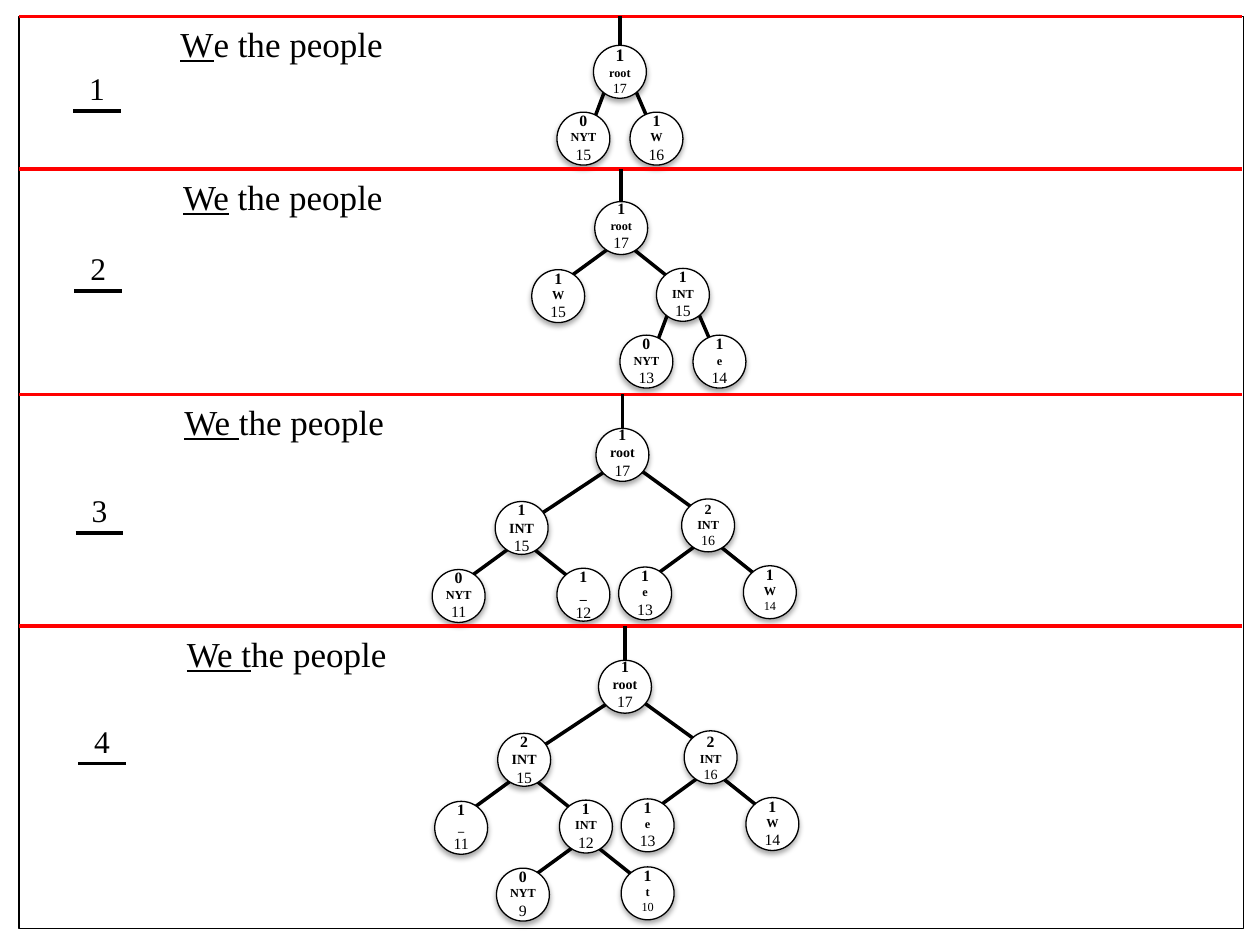
"""Builds a slide showing four steps of adaptive Huffman coding."""
from dataclasses import dataclass

from lxml import etree
from pptx import Presentation
from pptx import util as u
from pptx.dml.color import RGBColor
from pptx.enum import shapes, text
from pptx.oxml.ns import qn


@dataclass(frozen=True)
class Theme:
    """Colours, type and line weights of the slide."""
    font: str = "Times New Roman"
    ink: RGBColor = RGBColor(0, 0, 0)
    paper: RGBColor = RGBColor(255, 255, 255)
    rule: RGBColor = RGBColor(255, 0, 0)
    phrase_size: int = 20
    step_size: int = 18
    thin: float = 0.75
    thick: float = 2
    node: float = 0.42


THEME = Theme()


@dataclass(frozen=True)
class Branch:
    """Child offset from its parent, and edge ends measured from both centres."""
    child: tuple
    start: tuple
    end: tuple


STEEP = (Branch((-0.29, 0.53), (0, -0.17), (0.08, -0.14)),
         Branch((0.29, 0.53), (0, -0.14), (-0.07, -0.16)))
NORMAL = (Branch((-0.5, 0.54), (0, 0.09), (0.02, -0.1)),
          Branch((0.49, 0.53), (0, 0.09), (-0.09, -0.12)))
WIDE = (Branch((-0.8, 0.58), (-0.09, 0.1), (0, -0.01)),
        Branch((0.68, 0.56), (0.1, 0.09), (0, -0.05)))


@dataclass(frozen=True)
class Node:
    """A tree node: weight, symbol and number, with its two children."""
    weight: str
    symbol: str
    number: str
    sizes: tuple = (9, 7, 9)
    spread: tuple = ()
    children: tuple = ()
    lift: float = 0.06


@dataclass(frozen=True)
class Step:
    """One band of the slide."""
    left: float
    top: float
    step_drop: float
    label: str
    read: str
    rest: str
    tree: Node
    tree_drop: float = 0.26


def add_line(canvas, start, end, color=THEME.ink):
    """Draws a thick straight line without a shadow."""
    points = [u.Inches(value) for value in (*start, *end)]
    line = canvas.add_connector(shapes.MSO_CONNECTOR.STRAIGHT, *points)
    line.line.color.rgb = color
    line.line.width = u.Pt(THEME.thick)
    etree.SubElement(line._element.spPr, qn("a:effectLst"))


def add_shadow(shape):
    """Gives a shape a soft shadow that falls straight down."""
    effects = etree.SubElement(shape._element.spPr, qn("a:effectLst"))
    shadow = etree.SubElement(
        effects, qn("a:outerShdw"), blurRad=str(u.Pt(3.1)), dist=str(u.Pt(1.8)),
        dir="5400000", rotWithShape="0")
    color = etree.SubElement(shadow, qn("a:srgbClr"), val=str(THEME.ink))
    etree.SubElement(color, qn("a:alpha"), val="35000")


def add_outline(canvas, kind, left, top, width, height):
    """Adds a preset shape with a thin outline."""
    shape = canvas.add_shape(kind, *map(u.Inches, (left, top, width, height)))
    shape.line.color.rgb = THEME.ink
    shape.line.width = u.Pt(THEME.thin)
    return shape


def add_text(canvas, left, top, width, height, side=0.1):
    """Adds an empty wrapping text box and returns its frame."""
    box = canvas.add_textbox(*map(u.Inches, (left, top, width, height)))
    frame = box.text_frame
    frame.word_wrap = True
    frame.margin_left = frame.margin_right = u.Inches(side)
    return frame


def style(para, size, bold=False):
    """Centres a paragraph and sets its font."""
    para.alignment = text.PP_ALIGN.CENTER
    para.font.name = THEME.font
    para.font.size = u.Pt(size)
    para.font.bold = bold
    para.font.color.rgb = THEME.ink


def shift(point, offset):
    """Moves a point by an offset."""
    return point[0] + offset[0], point[1] + offset[1]


def child_corners(node, corner):
    """Lists each child with its branch and top left corner."""
    return [(child, branch, shift(corner, branch.child))
            for child, branch in zip(node.children, node.spread)]


def add_edges(canvas, node, corner):
    """Draws all the edges below a node."""
    half = (THEME.node / 2, THEME.node / 2)
    for child, branch, place in child_corners(node, corner):
        add_line(canvas, shift(shift(corner, half), branch.start),
                 shift(shift(place, half), branch.end))
        add_edges(canvas, child, place)


def add_nodes(canvas, node, corner):
    """Draws a labelled node and then its descendants."""
    left, top = corner
    circle = add_outline(canvas, shapes.MSO_SHAPE.OVAL, left, top,
                         THEME.node, THEME.node)
    circle.fill.solid()
    circle.fill.fore_color.rgb = THEME.paper
    add_shadow(circle)
    frame = add_text(canvas, left, top - node.lift, THEME.node, 0.52, side=0)
    frame.text = "\n".join((node.weight, node.symbol, node.number))
    for para, size, bold in zip(frame.paragraphs, node.sizes, (True, True, False)):
        style(para, size, bold)
    for child, _, place in child_corners(node, corner):
        add_nodes(canvas, child, place)


def add_step(page, step):
    """Draws one band: phrase, underlined step number, stem and tree."""
    left, top = step.left, step.top
    add_line(page.shapes, (0.15, top), (9.86, top), THEME.rule)
    stem = left + 4.78
    add_line(page.shapes, (stem, top), (stem, top + 0.41))
    tree = page.shapes.add_group_shape().shapes
    corner = (stem - THEME.node / 2, top + step.tree_drop)
    add_edges(tree, step.tree, corner)
    add_nodes(tree, step.tree, corner)

    para = add_text(page.shapes, left, top, 4.19, 0.44).paragraphs[0]
    style(para, THEME.phrase_size)
    for words, underlined in ((step.read, True), (step.rest, False)):
        span = para.add_run()
        span.text = words
        span.font.underline = underlined

    number_top = top + step.step_drop
    frame = add_text(page.shapes, left + 0.26, number_top, 0.74, 0.4)
    frame.text = step.label
    style(frame.paragraphs[0], THEME.step_size)
    add_line(page.shapes, (left + 0.44, number_top + 0.38),
             (left + 0.82, number_top + 0.38))


FIRST = Node("1", "root", "17", (10, 7, 8), STEEP,
             (Node("0", "NYT", "15"), Node("1", "W", "16")))
SECOND = Node("1", "root", "17", spread=NORMAL, lift=0.07, children=(
    Node("1", "W", "15"),
    Node("1", "INT", "15", spread=STEEP,
         children=(Node("0", "NYT", "13"), Node("1", "e", "14")))))
THIRD = Node("1", "root", "17", (9, 8, 9), WIDE, lift=0.08, children=(
    Node("1", "INT", "15", (9, 8, 9), NORMAL,
         (Node("0", "NYT", "11"), Node("1", "_", "12", (9, 8, 9)))),
    Node("2", "INT", "16", (8, 7, 8), NORMAL,
         (Node("1", "e", "13"), Node("1", "W", "14", (9, 7, 7))), 0.04)))
FOURTH = Node("1", "root", "17", (9, 8, 9), WIDE, lift=0.08, children=(
    Node("2", "INT", "15", (9, 8, 9), NORMAL,
         (Node("1", "_", "11"),
          Node("1", "INT", "12", spread=NORMAL,
               children=(Node("0", "NYT", "9"), Node("1", "t", "10", (9, 7, 7)))))),
    Node("2", "INT", "16", (9, 7, 8), NORMAL,
         (Node("1", "e", "13"), Node("1", "W", "14")), 0.04)))

STEPS = (
    Step(0.14, 0.13, 0.37, "1", "W", "e the people", FIRST, 0.23),
    Step(0.15, 1.34, 0.59, "2", "We", " the people", SECOND),
    Step(0.16, 3.13, 0.72, "3", "We ", "the people", THIRD, 0.27),
    Step(0.18, 4.97, 0.71, "4", "We t", "he people", FOURTH, 0.27),
)

deck = Presentation()
deck.slide_width, deck.slide_height = u.Inches(10), u.Inches(7.5)
page = deck.slides.add_slide(deck.slide_layouts[6])
border = add_outline(page.shapes, shapes.MSO_SHAPE.RECTANGLE, 0.15, 0.13, 9.72, 7.24)
border.fill.background()
border.shadow.inherit = False
for step in STEPS:
    add_step(page, step)
deck.save("out.pptx")
